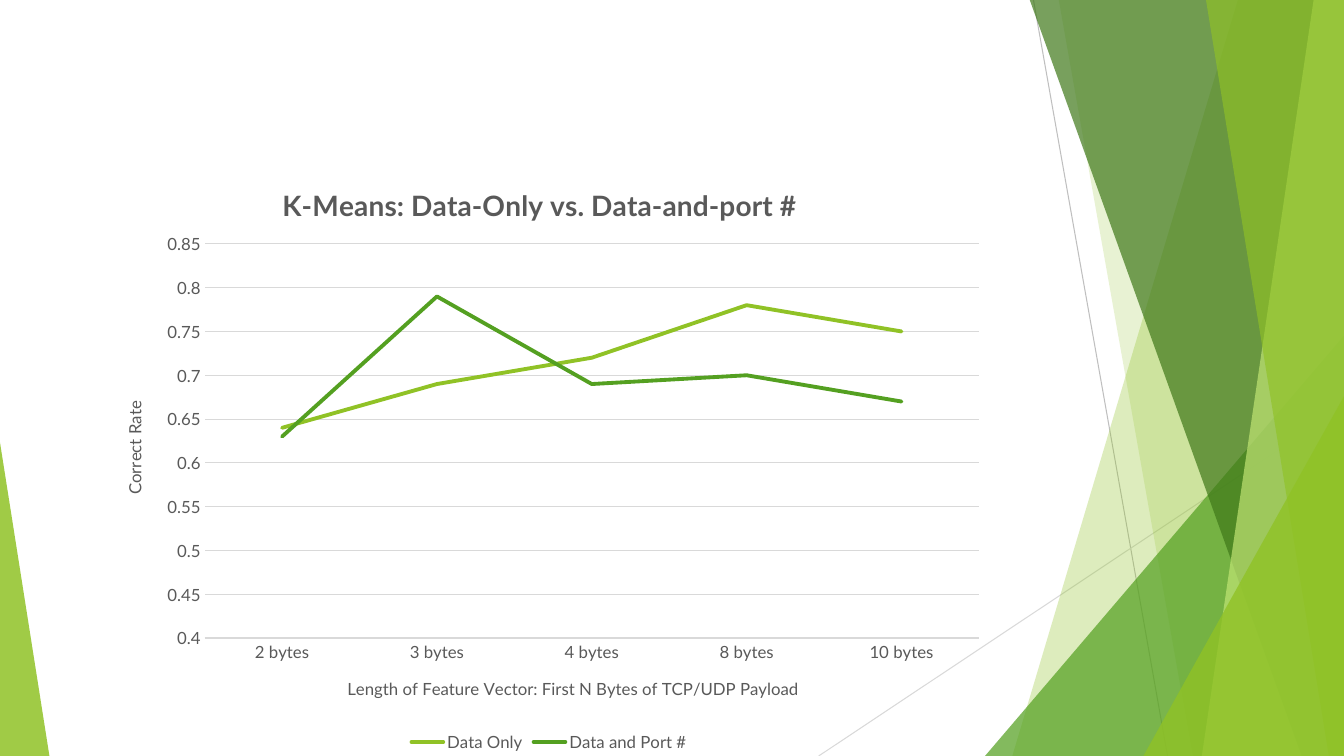
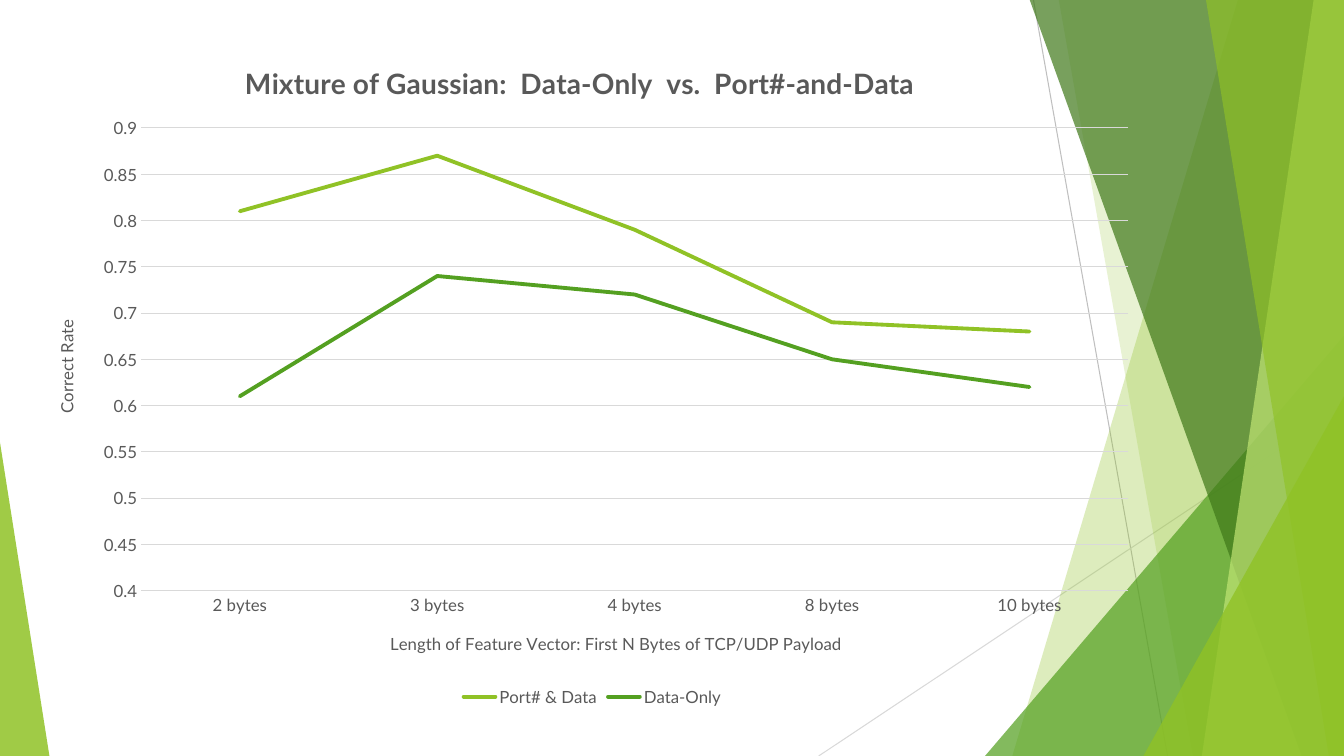
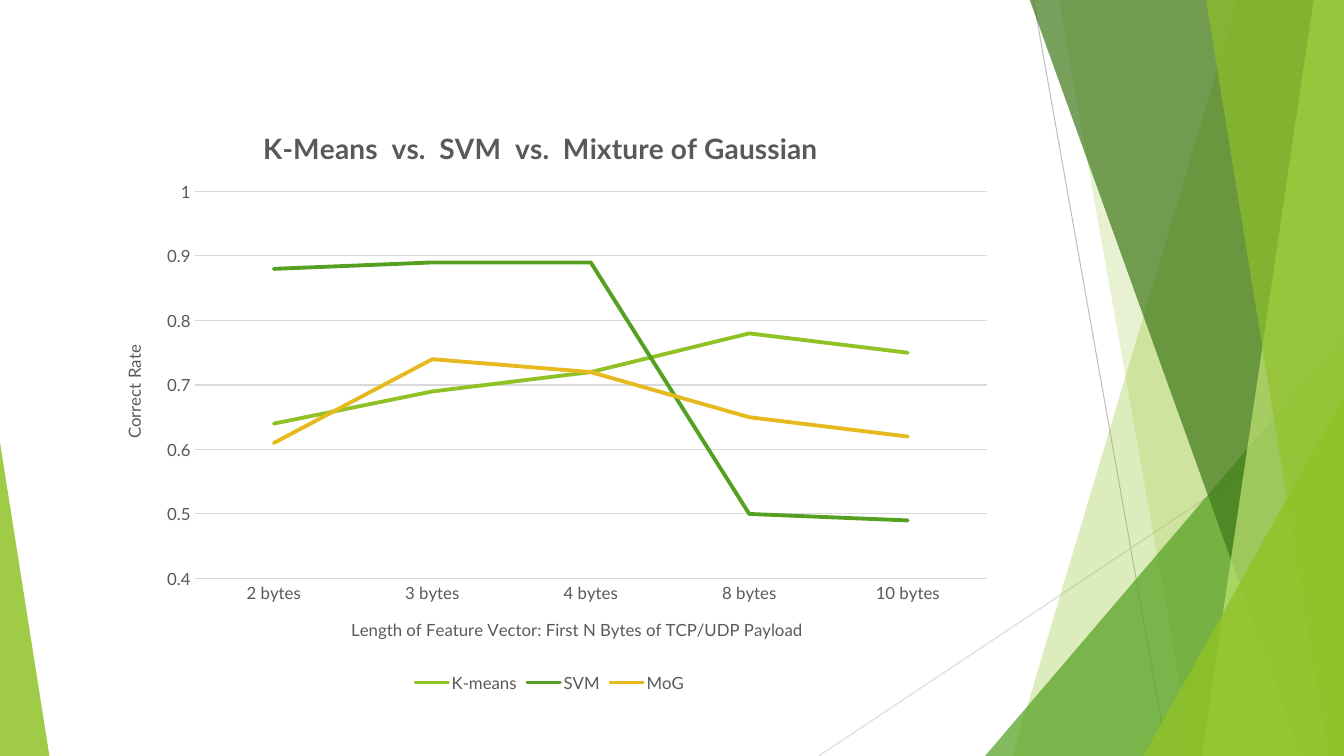
"""Build three line-chart slides on a shared faceted green backdrop."""
from lxml import etree
from pptx import Presentation
from pptx.chart.data import CategoryChartData
from pptx.dml.color import RGBColor
from pptx.enum.chart import XL_CHART_TYPE, XL_LEGEND_POSITION, XL_TICK_MARK
from pptx.enum.shapes import MSO_CONNECTOR, MSO_SHAPE
from pptx.oxml.ns import qn
from pptx.util import Inches, Pt

LINE_CHART = XL_CHART_TYPE.LINE
LEGEND_BOTTOM = XL_LEGEND_POSITION.BOTTOM
NO_TICK = XL_TICK_MARK.NONE
STRAIGHT = MSO_CONNECTOR.STRAIGHT
TRIANGLE = MSO_SHAPE.ISOSCELES_TRIANGLE

WIDTH, HEIGHT = 13.33, 7.5
FONT = "Lato"
COLORS = {
    "lime": "90C226", "green": "54A021", "forest": "3F7819", "pale": "C0E474",
    "gold": "E6B91E", "text": "595959", "grid": "D9D9D9", "rule": "BFBFBF",
}
SERIES_COLORS = ("lime", "green", "gold")

RULES = [((10.25, 0), (11.58, HEIGHT), "rule"), ((WIDTH, 4.03), (8.12, HEIGHT), "grid")]
FACETS = [
    ("band", (12.28, 10.04), "lime", 30),
    ("band", (10.5, 11.83), "lime", 20),
    ("triangle", (9.77, 3.33, 3.56, 1), "green", 72),
    ("band", (10.21, 12.91), "forest", 70),
    ("band", (13.03, 11.92), "pale", 70),
    ("band", (11.96, 13.18), "lime", 65),
    ("triangle", (11.34, 3.93, 1.99, 1), "lime", 80),
    ("triangle", (0, 4.39, 0.49, 0), "lime", 85),
]

CATEGORIES = ["2 bytes", "3 bytes", "4 bytes", "8 bytes", "10 bytes"]
CATEGORY_TITLE = "Length of Feature Vector: First N Bytes of TCP/UDP Payload"
VALUE_TITLE = "Correct Rate"
K_MEANS = (0.64, 0.69, 0.72, 0.78, 0.75)
GAUSSIAN = (0.61, 0.74, 0.72, 0.65, 0.62)
CHARTS = [
    {
        "title": "K-Means: Data-Only vs. Data-and-port #",
        "frame": (1, 1.57, 8.89, 5.93),
        "plot": (2.03, 2.42, 7.68, 3.91),
        "title_at": (2.75, 1.78),
        "top": 0.85, "step": 0.05,
        "series": {"Data Only": K_MEANS, "Data and Port #": (0.63, 0.79, 0.69, 0.7, 0.67)},
    },
    {
        "title": "Mixture of Gaussian:  Data-Only  vs.  Port#-and-Data",
        "frame": (0.34, 0.32, 11.07, 6.73),
        "plot": (1.4, 1.27, 9.79, 4.59),
        "title_at": (2.38, 0.57),
        "top": 0.9, "step": 0.05,
        "series": {"Port# & Data": (0.81, 0.87, 0.79, 0.69, 0.68), "Data-Only": GAUSSIAN},
    },
    {
        "title": "K-Means  vs.  SVM  vs.  Mixture of Gaussian",
        "frame": (1.01, 0.98, 8.89, 5.93),
        "plot": (1.93, 1.9, 7.86, 3.84),
        "title_at": (2.56, 1.22),
        "top": 1, "step": 0.1,
        "series": {
            "K-means": K_MEANS,
            "SVM": (0.88, 0.89, 0.89, 0.5, 0.49),
            "MoG": GAUSSIAN,
        },
    },
]


def rgb(name):
    return RGBColor.from_string(COLORS[name])


def style_font(font, size=12, bold=False):
    for key, value in {"name": FONT, "size": Pt(size), "bold": bold}.items():
        setattr(font, key, value)
    font.color.rgb = rgb("text")


def style_line(line, color, width):
    line.color.rgb = rgb(color)
    line.width = Pt(width)


def write_title(owner, text, size=12, bold=False):
    frame = owner.text_frame if hasattr(owner, "text_frame") else owner.axis_title.text_frame
    frame.text = text
    style_font(frame.paragraphs[0].runs[0].font, size, bold)


def add_facet(page, kind, geometry, color, opacity):
    if kind == "band":
        top_x, bottom_x = geometry
        outline = [(top_x, -0.01), (WIDTH, -0.01), (WIDTH, HEIGHT), (bottom_x, HEIGHT)]
        points = [(Inches(x), Inches(y)) for x, y in outline]
        builder = page.shapes.build_freeform(*points[0])
        builder.add_line_segments(points[1:], close=True)
        facet = builder.convert_to_shape()
    else:
        left, top, width, apex = geometry
        bounds = [Inches(value) for value in (left, top, width, HEIGHT - top)]
        facet = page.shapes.add_shape(TRIANGLE, *bounds)
        facet.adjustments[0] = apex
    facet.shadow.inherit = False
    facet.line.fill.background()
    facet.fill.solid()
    facet.fill.fore_color.rgb = rgb(color)
    tint = facet.element.spPr.find(qn("a:solidFill"))[0]
    etree.SubElement(tint, qn("a:alpha")).set("val", str(opacity * 1000))


def add_rule(page, start, end, color):
    ends = [Inches(value) for value in start + end]
    rule = page.shapes.add_connector(STRAIGHT, *ends)
    style_line(rule.line, color, 0.75)
    etree.SubElement(rule.element.spPr, qn("a:effectLst"))


def build_backdrop(layout, page):
    """Draw the backdrop on a page, then move it to the shared layout."""
    for holder in list(layout.placeholders):
        layout.element.cSld.spTree.remove(holder.element)
    for rule in RULES:
        add_rule(page, *rule)
    for facet in FACETS:
        add_facet(page, *facet)
    for shape in list(page.shapes):
        layout.element.cSld.spTree.append(shape.element)


def place(element, index, frame, position, size=(), inner=False):
    """Fix a chart part at a slide position, given as fractions of the chart."""
    for old in element.findall(qn("c:layout")):
        element.remove(old)
    layout = etree.Element(qn("c:layout"))
    manual = etree.SubElement(layout, qn("c:manualLayout"))
    left, top, width, height = frame
    entries = [("layoutTarget", "inner")] if inner else []
    entries += [("xMode", "edge"), ("yMode", "edge")]
    entries += [("x", (position[0] - left) / width), ("y", (position[1] - top) / height)]
    entries += [(key, part / whole) for key, part, whole in zip("wh", size, (width, height))]
    for key, value in entries:
        etree.SubElement(manual, qn("c:" + key)).set("val", str(value))
    element.insert(index, layout)


def add_line_chart(page, item):
    data = CategoryChartData()
    data.categories = CATEGORIES
    for name, values in item["series"].items():
        data.add_series(name, values)
    bounds = [Inches(value) for value in item["frame"]]
    chart = page.shapes.add_chart(LINE_CHART, *bounds, data).chart
    style_font(chart.font)

    chart.has_title = True
    write_title(chart.chart_title, item["title"], 20, True)
    chart.chart_title.include_in_layout = False
    chart.has_legend = True
    chart.legend.position = LEGEND_BOTTOM
    chart.legend.include_in_layout = False
    style_font(chart.legend.font)

    for axis, title in ((chart.category_axis, CATEGORY_TITLE), (chart.value_axis, VALUE_TITLE)):
        write_title(axis, title)
        axis.major_tick_mark = axis.minor_tick_mark = NO_TICK
        style_font(axis.tick_labels.font)
    style_line(chart.category_axis.format.line, "grid", 1)
    scale = {"minimum_scale": 0.4, "maximum_scale": item["top"], "major_unit": item["step"]}
    for key, value in scale.items():
        setattr(chart.value_axis, key, value)
    chart.value_axis.format.line.fill.background()
    style_line(chart.value_axis.major_gridlines.format.line, "grid", 0.75)

    chart.plots[0].vary_by_categories = False
    for series, color in zip(chart.plots[0].series, SERIES_COLORS):
        series.smooth = False
        style_line(series.format.line, color, 2.75)
    for stroke in chart.element.xpath(".//c:ser/c:spPr/a:ln"):
        stroke.set("cap", "rnd")

    plot = item["plot"]
    place(chart.element.xpath(".//c:plotArea")[0], 0, item["frame"], plot[:2], plot[2:], True)
    place(chart.element.xpath("./c:chart/c:title")[0], 1, item["frame"], item["title_at"])


def main():
    deck = Presentation()
    deck.slide_width, deck.slide_height = Inches(WIDTH), Inches(HEIGHT)
    blank = deck.slide_layouts[6]
    pages = [deck.slides.add_slide(blank) for _ in CHARTS]
    build_backdrop(blank, pages[0])
    for page, item in zip(pages, CHARTS):
        add_line_chart(page, item)
    deck.save("out.pptx")


if __name__ == "__main__":
    main()
